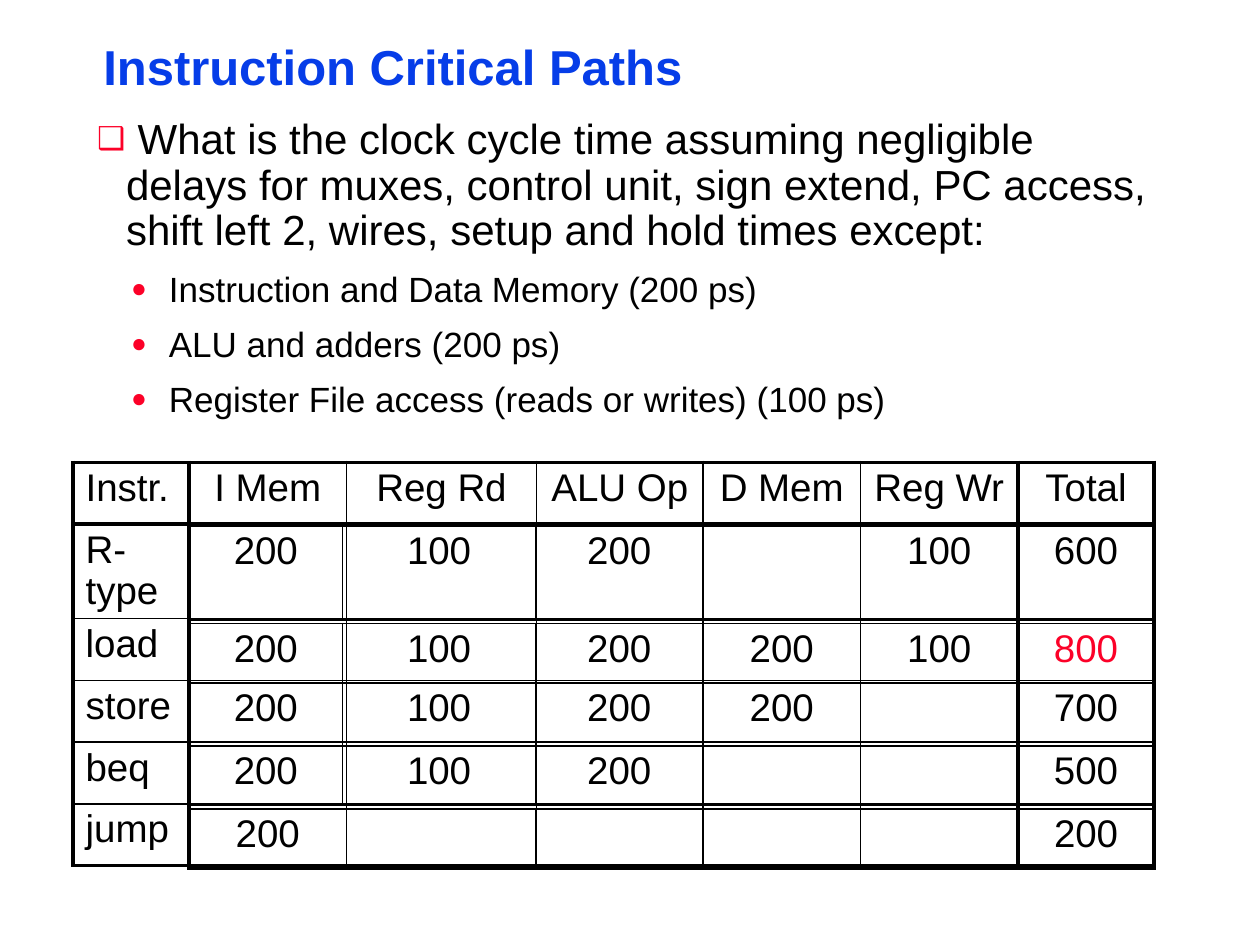
from pptx import Presentation
from pptx.dml.color import RGBColor
from pptx.enum import text
from pptx.oxml import parse_xml
from pptx.oxml import ns
from pptx.util import Inches, Pt

BLUE = RGBColor(0x06, 0x3D, 0xE8)
RED = RGBColor(0xFC, 0x01, 0x28)
BLACK = RGBColor(0, 0, 0)
FONT = "Arial"
THIN, THICK = 1, 2.25


def add_run(paragraph, wording, size, color, bold=False):
    run = paragraph.add_run()
    run.text = wording
    run.font.name = FONT
    run.font.size = Pt(size)
    run.font.color.rgb = color
    run.font.bold = bold


def add_grid(slide, left, top, widths, heights, rows, thick_columns, thick_rows):
    """Add a table; the thick sets number the grid lines drawn heavily."""
    frame = slide.shapes.add_table(
        len(rows), len(widths), Inches(left), Inches(top),
        Inches(sum(widths)), Inches(sum(heights)))
    table = frame.table
    table.first_row = table.horz_banding = False
    for column, width in zip(table.columns, widths):
        column.width = Inches(width)
    for row, height in zip(table.rows, heights):
        row.height = Inches(height)
    for r, values in enumerate(rows):
        for c, value in enumerate(values):
            cell = table.cell(r, c)
            cell.fill.background()
            paragraph = cell.text_frame.paragraphs[0]
            paragraph.line_spacing = 0.95
            paragraph.font.size = Pt(22)
            if value:
                is_label = len(widths) == 7 and c == 0
                paragraph.alignment = (
                    text.PP_ALIGN.LEFT if is_label else text.PP_ALIGN.CENTER)
                add_run(paragraph, value, 22, RED if value == "800" else BLACK)
            # Borders come first in the cell properties
            sides = [("L", c in thick_columns), ("R", c + 1 in thick_columns),
                     ("T", r in thick_rows), ("B", r + 1 in thick_rows)]
            for position, (side, thick) in enumerate(sides):
                line_width = Pt(THICK if thick else THIN)
                cell._tc.get_or_add_tcPr().insert(position, parse_xml(
                    f'<a:ln{side} {ns.nsdecls("a")} w="{line_width}"><a:solidFill>'
                    f'<a:srgbClr val="{BLACK}"/></a:solidFill></a:ln{side}>'))


presentation = Presentation()
presentation.slide_width = Inches(10)
presentation.slide_height = Inches(7.5)
slide = presentation.slides.add_slide(presentation.slide_layouts[1])

# Title
title = slide.shapes.title
title.left, title.top = Inches(0.75), Inches(0.33)
title.width, title.height = Inches(8.58), Inches(0.46)
frame = title.text_frame
frame.margin_left = frame.margin_right = Inches(0.07)
frame.margin_top = frame.margin_bottom = Inches(0.03)
paragraph = frame.paragraphs[0]
paragraph.alignment = text.PP_ALIGN.LEFT
paragraph.line_spacing = 0.87
add_run(paragraph, "Instruction Critical Paths", 28, BLUE, bold=True)

# Question and its assumptions: level, wording
points = [
    (0, " What is the clock cycle time assuming negligible delays for muxes, "
        "control unit, sign extend, PC access, shift left 2, wires, setup and "
        "hold times except:"),
    (1, "Instruction and Data Memory (200 ps)"),
    (1, "ALU and adders (200 ps)"),
    (1, "Register File access (reads or writes) (100 ps)"),
]
# Per level: bullet, left margin, hanging indent, size, line spacing
levels = [("❑", 0.23, 0.23, 24, 0.9), ("●", 0.57, 0.3, 20, 0.85)]
body = slide.placeholders[1]
body.left, body.top = Inches(0.67), Inches(0.86)
body.width, body.height = Inches(8.58), Inches(2.55)
frame = body.text_frame
frame.margin_top = Inches(0.08)
for index, (level, wording) in enumerate(points):
    bullet, margin, hanging, size, spacing = levels[level]
    paragraph = frame.add_paragraph() if index else frame.paragraphs[0]
    paragraph.level = level
    paragraph.line_spacing = spacing
    paragraph.space_before = Pt(11 if index else 0)
    properties = paragraph._p.get_or_add_pPr()
    properties.set("marL", str(Inches(margin)))
    properties.set("indent", str(-Inches(hanging)))
    for element in (f'buClr {ns.nsdecls("a")}><a:srgbClr val="{RED}"/></a:buClr>',
                    f'buSzPct {ns.nsdecls("a")} val="75000"/>',
                    f'buFont {ns.nsdecls("a")} typeface="{FONT}"/>',
                    f'buChar {ns.nsdecls("a")} char="{bullet}"/>'):
        properties.append(parse_xml("<a:" + element))
    add_run(paragraph, wording, size, BLACK)

# Main grid with headings and instruction names
headings = ["Instr.", "I Mem", "Reg Rd", "ALU Op", "D Mem", "Reg Wr", "Total"]
instructions = ["R-type", "load", "store", "beq", "jump"]
add_grid(slide, 0.58, 3.67, [0.92, 1.25, 1.51, 1.32, 1.25, 1.25, 1.08], [0.49] * 6,
         [headings] + [[name] + [""] * 6 for name in instructions],
         {0, 1, 6, 7}, {0, 1, 6})

# One strip of delays per instruction: top, height, values, thick row lines
delays = [
    (4.17, 0.75, ["200", "100", "200", "", "100", "600"], {0}),
    (4.95, 0.47, ["200", "100", "200", "200", "100", "800"], set()),
    (5.42, 0.5, ["200", "100", "200", "200", "", "700"], set()),
    (5.92, 0.47, ["200", "100", "200", "", "", "500"], set()),
    (6.42, 0.45, ["200", "", "", "", "", "200"], {1}),
]
for top, height, values, thick_rows in delays:
    first_widths = [1.25, 1.5] if top == 6.42 else [1.22, 1.53]
    add_grid(slide, 1.5, top, first_widths + [1.33, 1.25, 1.25, 1.08], [height],
             [values], {0, 5, 6}, thick_rows)

presentation.save("out.pptx")
